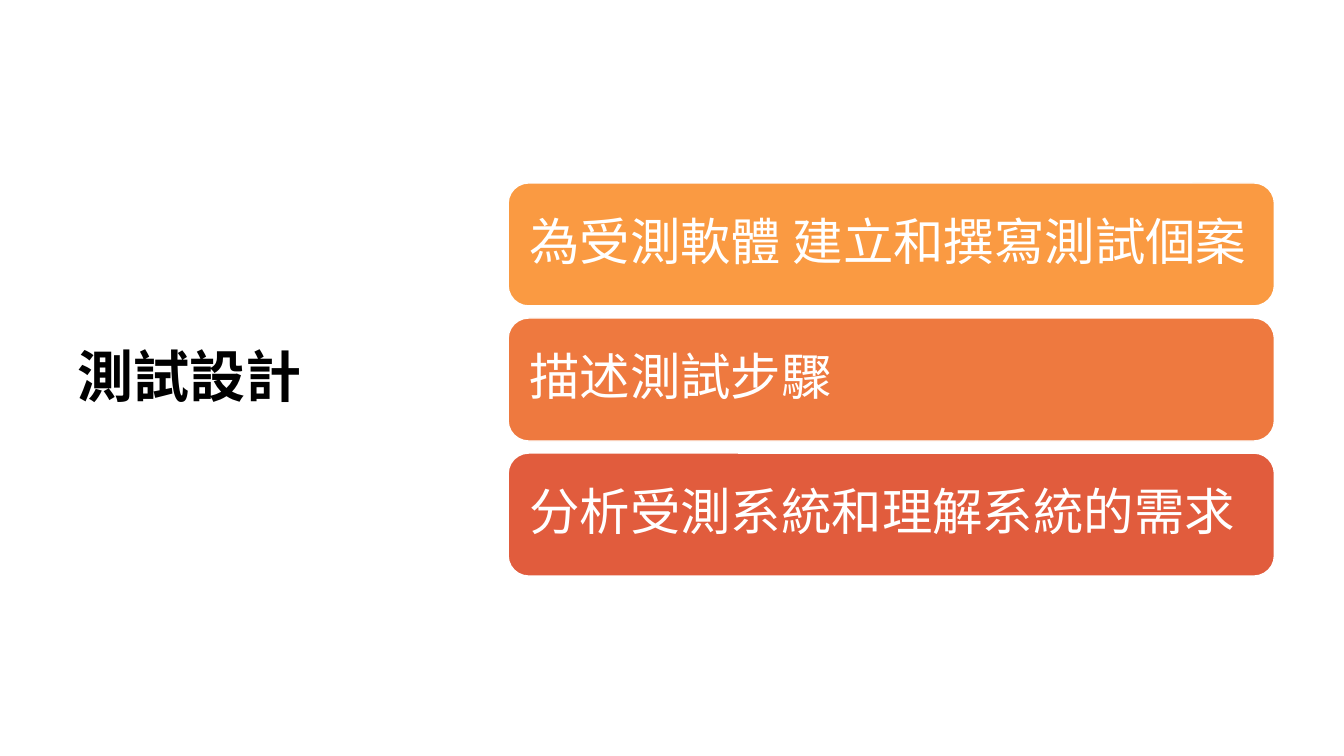
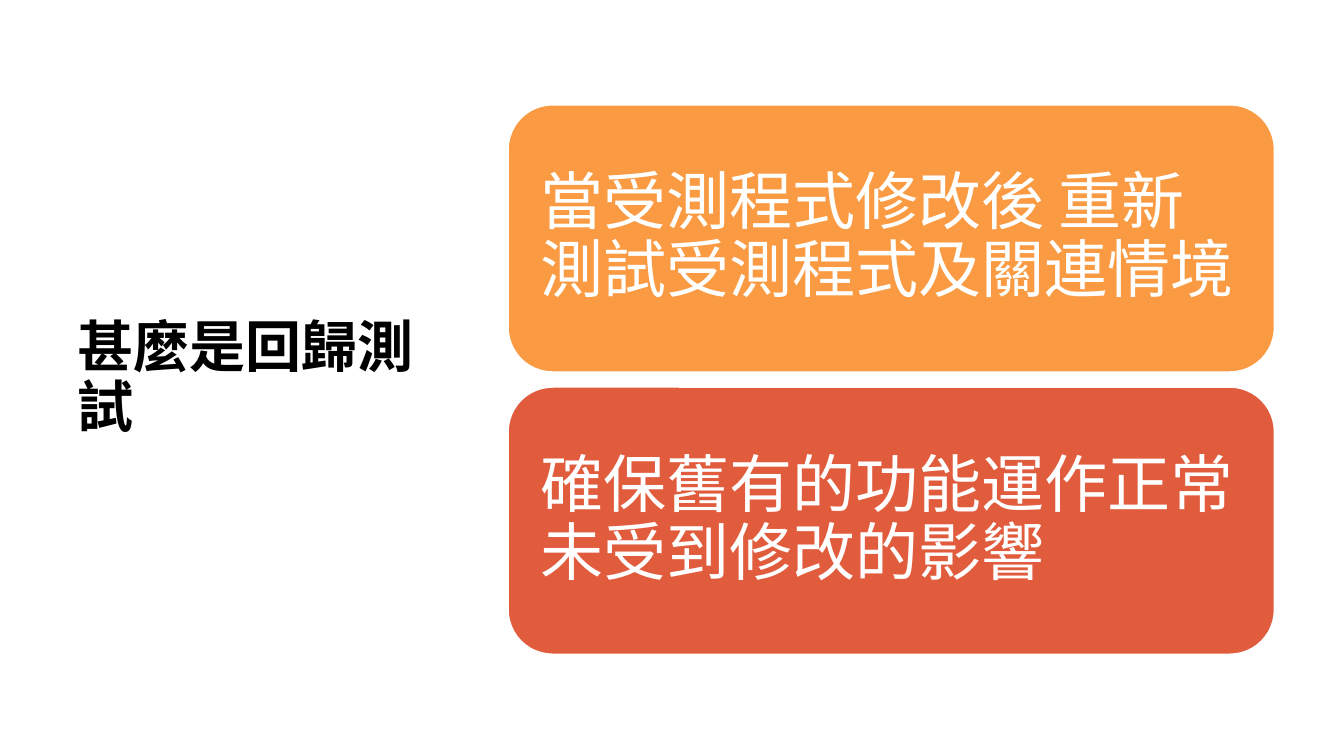
from pptx import Presentation
from pptx.dml.color import RGBColor
from pptx.enum.shapes import MSO_SHAPE as Shape
from pptx.enum.text import MSO_ANCHOR as Anchor, MSO_AUTO_SIZE as AutoSize, PP_ALIGN as Align
from pptx.util import Inches, Pt

# Content
ORANGE, AMBER, RED = "FA9A42", "EE793F", "E15C3D"
SLIDES = [
    {
        "title": "測試設計",
        "cards": [
            ("為受測軟體 建立和撰寫測試個案", ORANGE),
            ("描述測試步驟", AMBER),
            ("分析受測系統和理解系統的需求", RED),
        ],
        "height": 1.22, "gap": 0.12, "inset": 0.15, "size": 36,
    },
    {
        "title": "甚麼是回歸測試",
        "cards": [
            ("當受測程式修改後 重新測試受測程式及關連情境", ORANGE),
            ("確保舊有的功能運作正常 未受到修改的影響", RED),
        ],
        "height": 2.65, "gap": 0.15, "inset": 0.19, "size": 45,
    },
]

# Shared style and layout, in inches
FONT, WHITE, BLACK = "Lato", "FFFFFF", "000000"
SLIDE_W, SLIDE_H = 13.33, 7.5
TITLE_LEFT, TITLE_TOP, TITLE_W, TITLE_H = 0.67, 0.6, 3.82, 6.33
CARD_LEFT, CARD_W = 5.04, 7.6
MIDDLE = TITLE_TOP + TITLE_H / 2


def color(hex_code):
    return RGBColor.from_string(hex_code)


def write(frame, text, size, ink, bold=False):
    frame.word_wrap = True
    frame.auto_size = AutoSize.NONE
    frame.vertical_anchor = Anchor.MIDDLE
    paragraph = frame.paragraphs[0]
    paragraph.alignment = Align.LEFT
    paragraph.line_spacing = 0.9
    run = paragraph.add_run()
    run.text = text
    font = run.font
    font.name, font.size, font.bold = FONT, Pt(size), bold
    font.color.rgb = color(ink)


def add_title(slide, text):
    title = slide.shapes.title
    title.left, title.top = Inches(TITLE_LEFT), Inches(TITLE_TOP)
    title.width, title.height = Inches(TITLE_W), Inches(TITLE_H)
    write(title.text_frame, text, 40, BLACK, bold=True)


def add_card(slide, top, height, text, fill, size, inset):
    card = slide.shapes.add_shape(
        Shape.ROUNDED_RECTANGLE,
        Inches(CARD_LEFT), Inches(top), Inches(CARD_W), Inches(height))
    card.shadow.inherit = False
    card.fill.solid()
    card.fill.fore_color.rgb = color(fill)
    card.line.color.rgb = color(WHITE)
    card.line.width = Pt(1)
    frame = card.text_frame
    frame.margin_left = frame.margin_right = Inches(inset)
    frame.margin_top = frame.margin_bottom = Inches(inset)
    write(frame, text, size, WHITE)


def main():
    deck = Presentation()
    deck.slide_width, deck.slide_height = Inches(SLIDE_W), Inches(SLIDE_H)
    title_only = deck.slide_layouts[5]
    for content in SLIDES:
        slide = deck.slides.add_slide(title_only)
        add_title(slide, content["title"])
        # Stack the cards around the title's middle
        cards, height = content["cards"], content["height"]
        pitch = height + content["gap"]
        first_top = MIDDLE - (len(cards) * pitch - content["gap"]) / 2
        for row, (text, fill) in enumerate(cards):
            add_card(slide, first_top + row * pitch, height, text, fill,
                     content["size"], content["inset"])
    deck.save("out.pptx")


if __name__ == "__main__":
    main()
